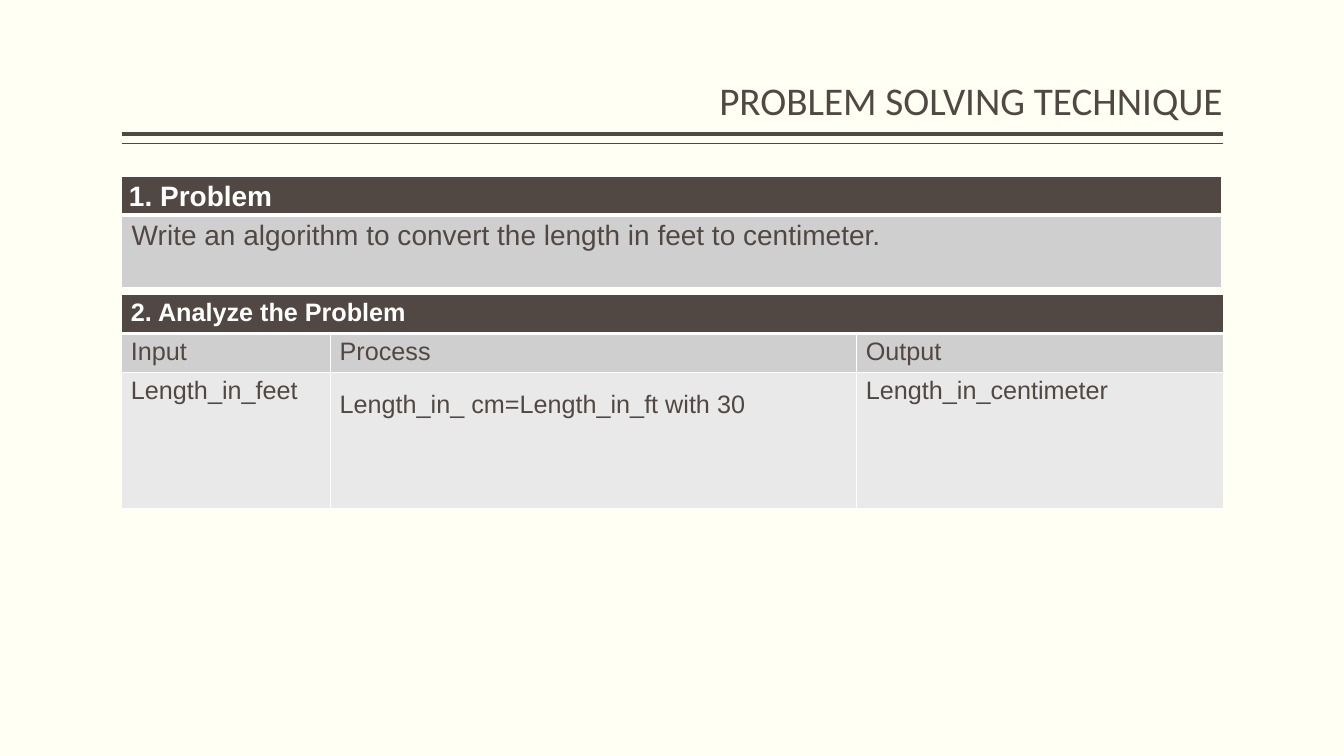
from lxml import etree
from pptx import Presentation
from pptx.dml.color import RGBColor
from pptx.enum.shapes import MSO_CONNECTOR
from pptx.enum.text import MSO_ANCHOR, PP_ALIGN
from pptx.oxml.ns import qn
from pptx.util import Cm, Pt

STRAIGHT = MSO_CONNECTOR.STRAIGHT
BOTTOM = MSO_ANCHOR.BOTTOM
RIGHT = PP_ALIGN.RIGHT

BACKGROUND, DARK, WHITE = "FFFFF3", "514843", "FFFFFF"
ROW_FILLS = [DARK, "D0CFCF", "E9E9E9"]
LEFT, WIDTH = 3.07, 27.74
TITLE = "PROBLEM SOLVING TECHNIQUE"
RULES = [(3.38, 3), (3.62, 1)]

TABLES = [
    {
        "top": 4.45,
        "size": 20,
        "columns": [27.71],
        "rows": [0.88, 1.83],
        "cells": [
            ["1. Problem"],
            ["Write an algorithm to convert the length in feet to centimeter."],
        ],
        "spacing": {(0, 0): 1.15},
        "margins": [(0.18, 0), (0.25, 0.13)],
    },
    {
        "top": 7.42,
        "size": 18,
        "columns": [5.26, 13.26, 9.24],
        "rows": [0.96, 0.96, 3.44],
        "cells": [
            ["2. Analyze the Problem", "", ""],
            ["Input", "Process", "Output"],
            ["Length_in_feet", "Length_in_ cm=Length_in_ft with 30", "Length_in_centimeter"],
        ],
        "spacing": {(2, 1): 1.5},
        "margins": [(0.23, 0.11)] * 3,
    },
]


def color(value):
    return RGBColor.from_string(value)


def add_run(paragraph, text, font, size, text_color, bold=False):
    run = paragraph.add_run()
    run.text = text
    run.font.name = font
    run.font.size = Pt(size)
    run.font.bold = bold
    run.font.color.rgb = color(text_color)


def add_title(slide):
    box = slide.shapes.add_textbox(Cm(LEFT), Cm(0.2), Cm(WIDTH), Cm(3.05))
    frame = box.text_frame
    frame.word_wrap = True
    frame.vertical_anchor = BOTTOM
    frame.margin_left = frame.margin_right = 0
    paragraph = frame.paragraphs[0]
    paragraph.alignment = RIGHT
    paragraph.line_spacing = 0.9
    add_run(paragraph, TITLE, "Calibri", 28, DARK)


def add_rule(slide, top, weight):
    rule = slide.shapes.add_connector(STRAIGHT, Cm(LEFT + WIDTH), Cm(top), Cm(LEFT), Cm(top))
    rule.line.color.rgb = color(DARK)
    rule.line.width = Pt(weight)
    etree.SubElement(rule._element.spPr, qn("a:effectLst"))


def set_borders(cell, row):
    properties = cell._tc.get_or_add_tcPr()
    weights = {"lnL": 1, "lnR": 1, "lnT": 3 if row == 1 else 1, "lnB": 3 if row == 0 else 1}
    for side, weight in weights.items():
        line = etree.SubElement(properties, qn(f"a:{side}"), w=str(Pt(weight)))
        fill = etree.SubElement(line, qn("a:solidFill"))
        etree.SubElement(fill, qn("a:srgbClr"), val=WHITE)


def add_table(slide, content):
    columns, rows = content["columns"], content["rows"]
    table = slide.shapes.add_table(
        len(rows), len(columns), Cm(LEFT), Cm(content["top"]), Cm(sum(columns)), Cm(sum(rows))
    ).table
    for column, width in enumerate(columns):
        table.columns[column].width = Cm(width)
    for row, height in enumerate(rows):
        table.rows[row].height = Cm(height)
        side, edge = content["margins"][row]
        for column, text in enumerate(content["cells"][row]):
            cell = table.cell(row, column)
            set_borders(cell, row)
            cell.fill.solid()
            cell.fill.fore_color.rgb = color(ROW_FILLS[row])
            cell.margin_left = cell.margin_right = Cm(side)
            cell.margin_top = cell.margin_bottom = Cm(edge)
            if text:
                paragraph = cell.text_frame.paragraphs[0]
                paragraph.line_spacing = content["spacing"].get((row, column), 1.0)
                heading = row == 0
                add_run(paragraph, text, "Arial", content["size"], WHITE if heading else DARK, heading)
    if len(columns) > 1:
        table.cell(0, 0).merge(table.cell(0, len(columns) - 1))


def main():
    presentation = Presentation()
    presentation.slide_width = Cm(33.87)
    presentation.slide_height = Cm(19.05)
    slide = presentation.slides.add_slide(presentation.slide_layouts[6])
    slide.background.fill.solid()
    slide.background.fill.fore_color.rgb = color(BACKGROUND)
    for top, weight in RULES:
        add_rule(slide, top, weight)
    add_title(slide)
    for content in TABLES:
        add_table(slide, content)
    presentation.save("out.pptx")


if __name__ == "__main__":
    main()
